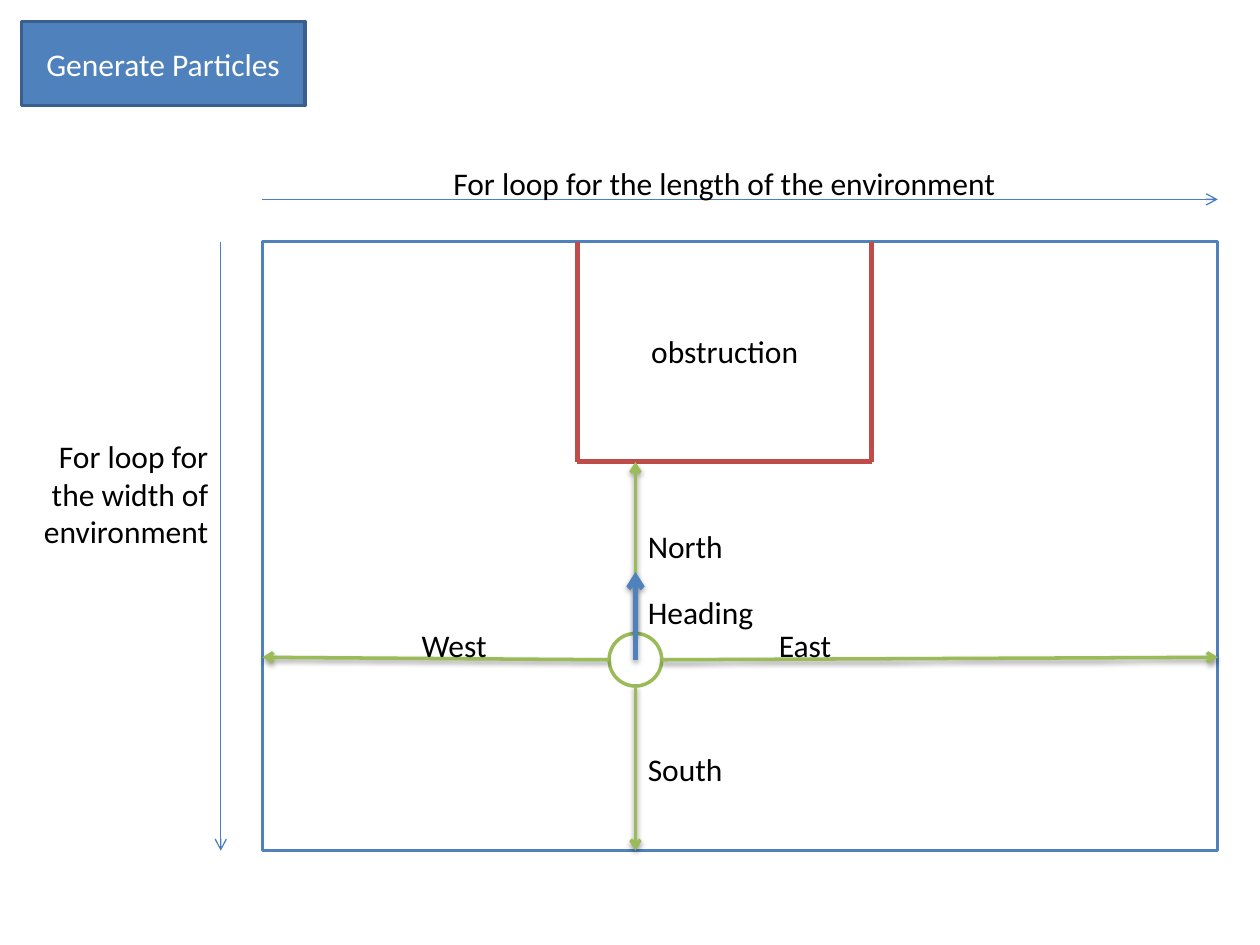
from lxml.etree import SubElement
from pptx import Presentation
from pptx.dml.color import RGBColor
from pptx.enum.shapes import MSO_CONNECTOR, MSO_SHAPE
from pptx.enum.text import MSO_ANCHOR, MSO_AUTO_SIZE, PP_ALIGN
from pptx.oxml.ns import qn
from pptx.util import Cm, Pt

BLUE, GREEN, RED = "4F81BD", "9BBB59", "BF4C48"
THIN_BLUE, DARK_BLUE = "4B7EBC", "3A5F8C"
BLACK, WHITE = "000000", "FFFFFF"


def color(value):
    return RGBColor.from_string(value)


class Sketch:
    font, size = "Calibri", 18

    def __init__(self, page):
        self.page = page

    def add_text(self, frame, text, ink, align):
        para = frame.paragraphs[0]
        para.alignment = align
        span = para.add_run()
        span.text = text
        span.font.name = self.font
        span.font.size = Pt(self.size)
        span.font.color.rgb = color(ink)

    def shape(self, kind, left, top, width, height, fill, line, text=None):
        box = self.page.shapes.add_shape(
            kind, Cm(left), Cm(top), Cm(width), Cm(height))
        box.shadow.inherit = False
        box.fill.solid()
        box.fill.fore_color.rgb = color(fill)
        box.line.color.rgb = color(line)
        box.line.width = Pt(2)
        if text:
            box.text_frame.vertical_anchor = MSO_ANCHOR.MIDDLE
            self.add_text(box.text_frame, text, WHITE, PP_ALIGN.CENTER)

    def label(self, text, left, top, width, height=1.03, align=PP_ALIGN.LEFT):
        box = self.page.shapes.add_textbox(
            Cm(left), Cm(top), Cm(width), Cm(height))
        box.text_frame.word_wrap = True
        box.text_frame.auto_size = MSO_AUTO_SIZE.SHAPE_TO_FIT_TEXT
        self.add_text(box.text_frame, text, BLACK, align)

    def line(self, start, end, ink, weight, arrow=False, shadow=None):
        """Draw a line; shadow is (opacity in percent, distance in points)."""
        connector = self.page.shapes.add_connector(
            MSO_CONNECTOR.STRAIGHT, *(Cm(value) for value in start + end))
        connector.line.color.rgb = color(ink)
        connector.line.width = Pt(weight)
        properties = connector.element.spPr
        if arrow:
            SubElement(properties.find(qn("a:ln")), qn("a:tailEnd"), type="arrow")
        effects = SubElement(properties, qn("a:effectLst"))
        if shadow:
            opacity, distance = shadow
            outer = SubElement(
                effects, qn("a:outerShdw"), blurRad=str(Pt(3.1)),
                dist=str(Pt(distance)), dir="5400000", rotWithShape="0")
            tint = SubElement(outer, qn("a:srgbClr"), val=BLACK)
            SubElement(tint, qn("a:alpha"), val=str(opacity * 1000))


deck = Presentation()
deck.slide_width, deck.slide_height = Cm(25.4), Cm(19.05)
sketch = Sketch(deck.slides.add_slide(deck.slide_layouts[6]))

# Title
sketch.shape(MSO_SHAPE.FLOWCHART_PROCESS, 0.43, 0.43, 5.72, 1.7,
             BLUE, DARK_BLUE, "Generate Particles")

# Environment and its two loops
left, top, right, bottom = 5.29, 4.87, 24.55, 17.15
sketch.shape(MSO_SHAPE.RECTANGLE, left, top, right - left, bottom - top,
             WHITE, BLUE)
sketch.line((left, 4.02), (right, 4.02), THIN_BLUE, 0.75, arrow=True)
sketch.line((4.45, top), (4.45, bottom), THIN_BLUE, 0.75, arrow=True)
sketch.label("For loop for the length of the environment", 8.89, 3.18, 11.64)
sketch.label("For loop for the width of environment", 0.43, 8.68, 4.02, 2.56,
             PP_ALIGN.RIGHT)

# Obstruction
wall_left, wall_right, wall_bottom = 11.64, 17.57, 9.31
for start, end in (
    ((wall_left, top), (wall_left, wall_bottom)),
    ((wall_right, top), (wall_right, wall_bottom)),
    ((wall_left, wall_bottom), (wall_right, wall_bottom)),
):
    sketch.line(start, end, RED, 3)
sketch.label("obstruction", 12.28, 6.56, 4.66, align=PP_ALIGN.CENTER)

# Particle with a distance arrow in each direction
x, y, radius = 12.81, 13.3, 0.53
sketch.shape(MSO_SHAPE.OVAL, x - radius, y - radius, 2 * radius, 2 * radius,
             WHITE, GREEN)
side_y = 13.25
for start, end in (
    ((x, y - radius), (x, wall_bottom)),
    ((x + radius, y), (right, side_y)),
    ((x - radius, y), (left, side_y)),
    ((x, y + radius), (x, bottom)),
):
    sketch.line(start, end, GREEN, 2, arrow=True, shadow=(38, 1.6))
for name, label_x, label_y in (
    ("East", 15.45, 12.49), ("North", x, 10.49),
    ("West", 8.25, 12.49), ("South", x, 14.99),
):
    sketch.label(name, label_x, label_y, 2.12)

# Heading
sketch.line((x, y), (x, 11.53), BLUE, 3, arrow=True, shadow=(35, 1.8))
sketch.label("Heading", x, 11.84, 2.64)

deck.save("out.pptx")
